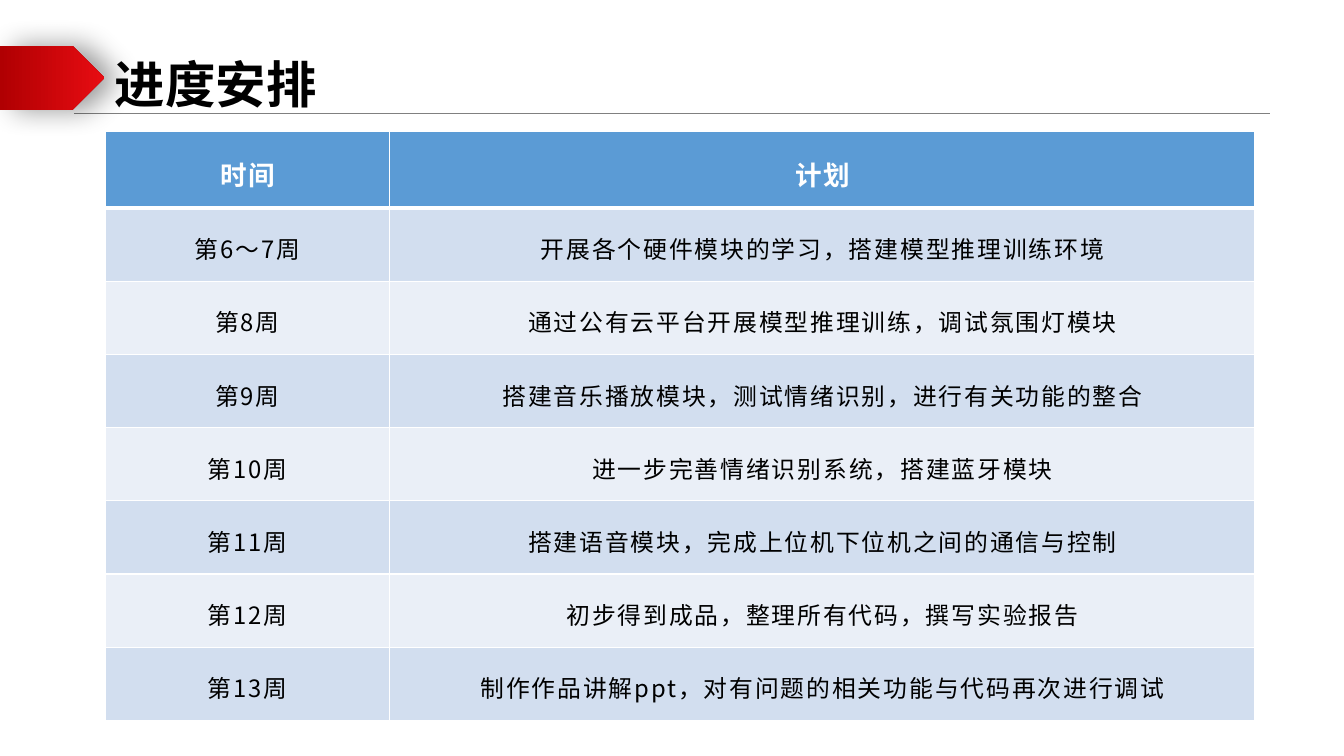
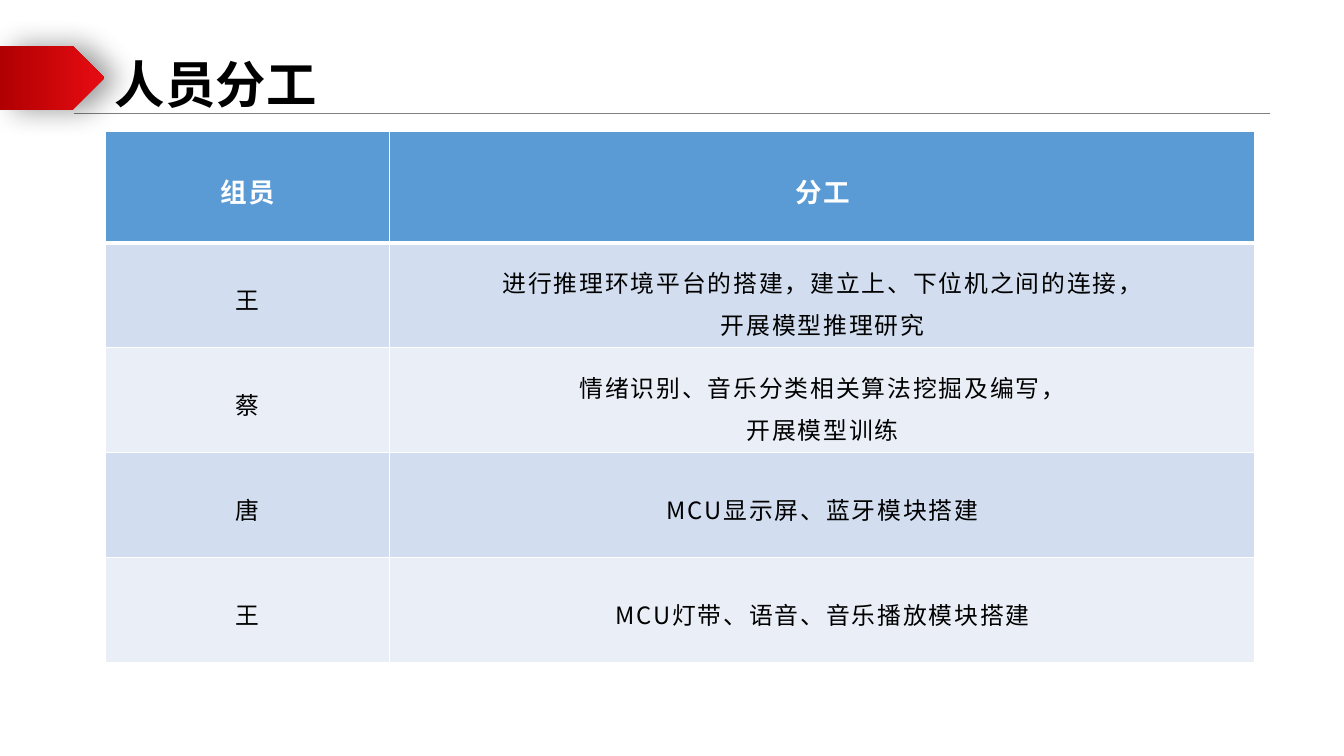
from dataclasses import dataclass

from lxml import etree
from pptx import Presentation
from pptx import util as u
from pptx.dml import color
from pptx.enum import shapes, text
from pptx.oxml import ns

COLORS = {
    "rule": "808080",
    "plate_dark": "B00002",
    "plate_light": "E70C12",
    "title": "000000",
    "body": "000000",
    "header_text": "FFFFFF",
    "header": "5B9BD5",
    "band_dark": "D2DEEF",
    "band_light": "EAEFF7",
    "border": "FFFFFF",
    "shadow": "000000",
}
FONT = "Noto Sans CJK SC"
LETTER_SPACING = 1.3
TABLE_LEFT, TABLE_TOP = 75, 93.6
COLUMN_WIDTHS = (203.5, 618)
CELL_INSET_X, CELL_INSET_Y = 17, 10.8


@dataclass(frozen=True)
class TablePage:
    title: str
    header_height: float
    row_height: float
    rows: tuple[tuple[str, str], ...]


PAGES = (
    TablePage("进度安排", 55.2, 52.27, (
        ("时间", "计划"),
        ("第6～7周", "开展各个硬件模块的学习，搭建模型推理训练环境"),
        ("第8周", "通过公有云平台开展模型推理训练，调试氛围灯模块"),
        ("第9周", "搭建音乐播放模块，测试情绪识别，进行有关功能的整合"),
        ("第10周", "进一步完善情绪识别系统，搭建蓝牙模块"),
        ("第11周", "搭建语音模块，完成上位机下位机之间的通信与控制"),
        ("第12周", "初步得到成品，整理所有代码，撰写实验报告"),
        ("第13周", "制作作品讲解ppt，对有问题的相关功能与代码再次进行调试"),
    )),
    TablePage("人员分工", 79.8, 75, (
        ("组员", "分工"),
        ("王", "进行推理环境平台的搭建，建立上、下位机之间的连接，\n开展模型推理研究"),
        ("蔡", "情绪识别、音乐分类相关算法挖掘及编写，\n开展模型训练"),
        ("唐", "MCU显示屏、蓝牙模块搭建"),
        ("王", "MCU灯带、语音、音乐播放模块搭建"),
    )),
)


def rgb(name: str) -> color.RGBColor:
    return color.RGBColor.from_string(COLORS[name])


def add_element(parent, tag: str, **attributes):
    element = etree.SubElement(parent, ns.qn(tag))
    for name, value in attributes.items():
        element.set(name, str(value))
    return element


def format_span(span, size: float, color_name: str, bold: bool, spacing: float = 0) -> None:
    span.font.size = u.Pt(size)
    span.font.bold = bold
    span.font.name = FONT
    span.font.color.rgb = rgb(color_name)
    properties = span._r.get_or_add_rPr()
    add_element(properties, "a:ea", typeface=FONT)
    if spacing:
        properties.set("spc", str(round(spacing * 100)))


def add_rule(page) -> None:
    rule = page.shapes.add_connector(
        shapes.MSO_CONNECTOR.STRAIGHT, u.Pt(52.8), u.Pt(80.8), u.Pt(907), u.Pt(80.8))
    rule.line.color.rgb = rgb("rule")
    rule.line.width = u.Pt(0.25)
    add_element(rule._element.spPr, "a:effectLst")


def add_plate(page) -> None:
    plate = page.shapes.add_shape(
        shapes.MSO_SHAPE.PENTAGON, u.Pt(0), u.Pt(32.6), u.Pt(74.5), u.Pt(46))
    plate.fill.gradient()
    plate.fill.gradient_angle = 0
    for stop, name in zip(plate.fill.gradient_stops, ("plate_dark", "plate_light")):
        stop.color.rgb = rgb(name)
    plate.line.fill.background()
    effects = add_element(plate._element.spPr, "a:effectLst")
    shadow = add_element(effects, "a:outerShdw", blurRad=u.Pt(20), dist=u.Pt(10),
                         dir=0, algn="ctr", rotWithShape=0)
    tint = add_element(shadow, "a:srgbClr", val=COLORS["shadow"])
    add_element(tint, "a:alpha", val=40000)


def add_title(page, title: str) -> None:
    box = page.shapes.add_textbox(u.Pt(75), u.Pt(31.7), u.Pt(689), u.Pt(51))
    frame = box.text_frame
    frame.word_wrap = True
    frame.vertical_anchor = text.MSO_ANCHOR.BOTTOM
    frame.margin_top = u.Pt(0)
    frame.margin_bottom = u.Pt(1.5)
    frame.text = title
    format_span(frame.paragraphs[0].runs[0], 36, "title", True)


def add_borders(cell, bottom_width: float) -> None:
    properties = cell._tc.get_or_add_tcPr()
    widths = (("a:lnL", 1), ("a:lnR", 1), ("a:lnT", 1), ("a:lnB", bottom_width))
    for position, (tag, width) in enumerate(widths):
        line = add_element(properties, tag, w=u.Pt(width))
        fill = add_element(line, "a:solidFill")
        add_element(fill, "a:srgbClr", val=COLORS["border"])
        properties.insert(position, line)


def fill_cell(cell, words: str, row_index: int) -> None:
    is_header = row_index == 0
    band = "header" if is_header else ("band_light", "band_dark")[row_index % 2]
    cell.fill.solid()
    cell.fill.fore_color.rgb = rgb(band)
    cell.vertical_anchor = text.MSO_ANCHOR.MIDDLE
    cell.margin_left = cell.margin_right = u.Pt(CELL_INSET_X)
    cell.margin_top = cell.margin_bottom = u.Pt(CELL_INSET_Y)
    add_borders(cell, 3 if is_header else 1)
    cell.text_frame.text = words
    for para in cell.text_frame.paragraphs:
        para.alignment = text.PP_ALIGN.CENTER
        para.line_spacing = 1.2
        for span in para.runs:
            format_span(span, 19 if is_header else 17,
                        "header_text" if is_header else "body", is_header, LETTER_SPACING)


def add_plan_table(page, content: TablePage) -> None:
    body_count = len(content.rows) - 1
    height = content.header_height + body_count * content.row_height
    table = page.shapes.add_table(
        len(content.rows), len(COLUMN_WIDTHS), u.Pt(TABLE_LEFT), u.Pt(TABLE_TOP),
        u.Pt(sum(COLUMN_WIDTHS)), u.Pt(height)).table
    table.horz_banding = False
    for column, width in zip(table.columns, COLUMN_WIDTHS):
        column.width = u.Pt(width)
    for row_index, words in enumerate(content.rows):
        row = table.rows[row_index]
        row.height = u.Pt(content.row_height if row_index else content.header_height)
        for cell, cell_words in zip(row.cells, words):
            fill_cell(cell, cell_words, row_index)


def main() -> None:
    deck = Presentation()
    deck.slide_width = u.Pt(960)
    deck.slide_height = u.Pt(540)
    for content in PAGES:
        page = deck.slides.add_slide(deck.slide_layouts[6])
        add_rule(page)
        add_plate(page)
        add_title(page, content.title)
        add_plan_table(page, content)
    deck.save("out.pptx")


if __name__ == "__main__":
    main()
